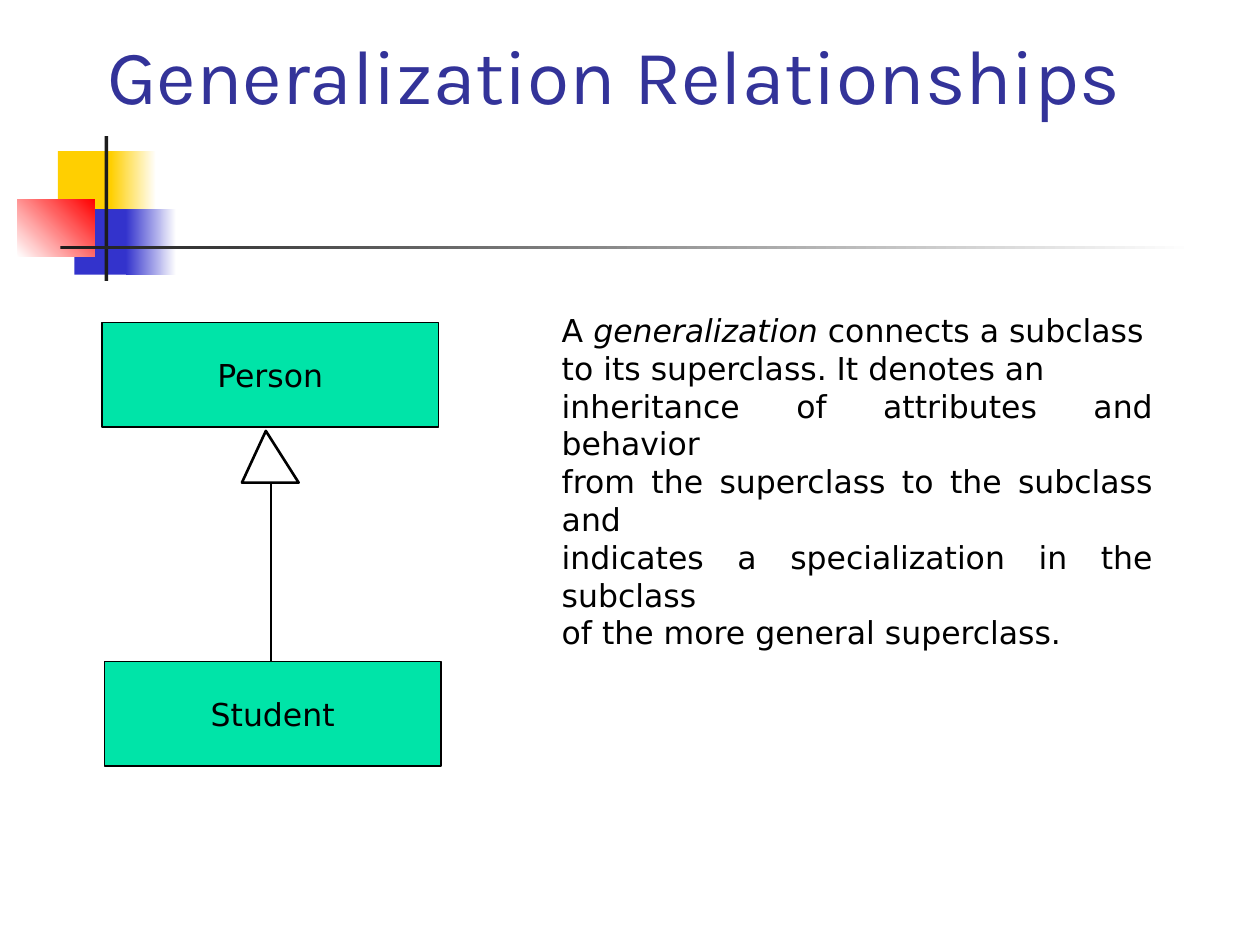
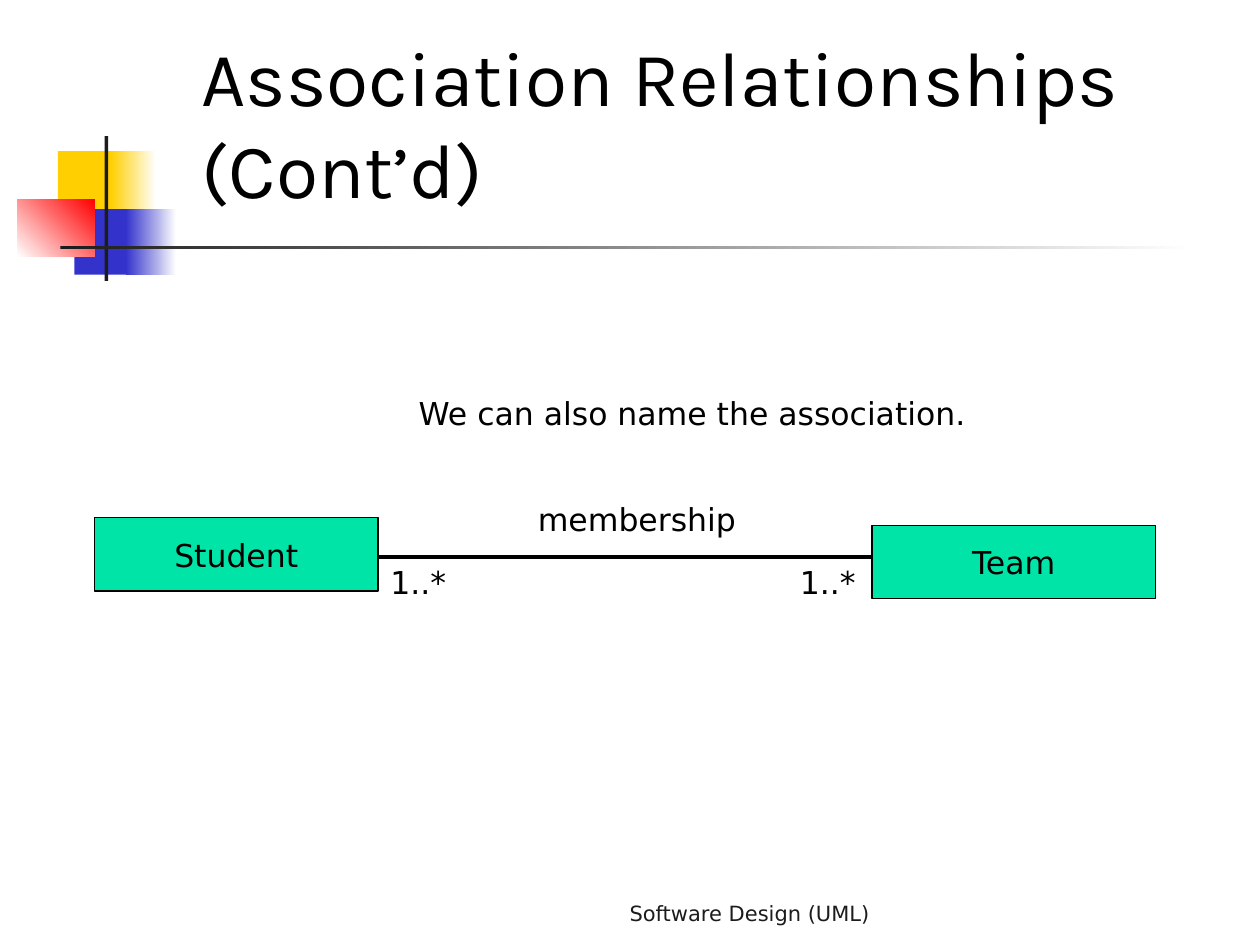
from lxml import etree
from pptx import Presentation
from pptx.dml.color import RGBColor
from pptx.enum.shapes import MSO_CONNECTOR as Conn, MSO_SHAPE as Kind
from pptx.enum.text import MSO_ANCHOR as Anchor, MSO_AUTO_SIZE as Fit, PP_ALIGN as Align
from pptx.oxml.ns import qn
from pptx.util import Inches, Pt

BLACK, WHITE, DARK = "000000", "FFFFFF", "1C1C1C"
GOLD, BLUE, RED = "FFCF01", "3333CC", "FF0000"
NAVY, GREEN = "333399", "00E4A8"


def paint(target, color):
    """Colour a fill or a font; a fill is made solid first."""
    if hasattr(target, "solid"):
        target.solid()
        target = target.fore_color
    else:
        target = target.color
    target.rgb = RGBColor.from_string(color)


def write(shape, lines, size=18, color=BLACK, align=Align.LEFT, font="DejaVu Sans"):
    """Fill a shape with paragraphs, each a list of runs; odd runs are italic."""
    frame = shape.text_frame
    frame.auto_size = Fit.NONE
    frame.word_wrap = True
    for i, line in enumerate(lines):
        para = frame.add_paragraph() if i else frame.paragraphs[0]
        para.alignment = align
        for j, words in enumerate(line):
            run = para.add_run()
            run.text = words
            run.font.name = font
            run.font.size = Pt(size)
            run.font.italic = j % 2 == 1
            paint(run.font, color)


prs = Presentation()
prs.slide_width, prs.slide_height = Inches(10), Inches(7.5)
layout = prs.slide_layouts[5]

# Slides with their titles
titles = [
    ("Generalization Relationships", NAVY, 0.75, 0.42, 8.58),
    ("Association Relationships (Cont’d)", BLACK, 1.5, 1.17, 8.83),
]
slides = []
for words, color, x, y, w in titles:
    slide = prs.slides.add_slide(layout)
    title = slide.shapes.title
    title.left, title.top, title.width, title.height = map(Inches, (x, y, w, 0.58))
    write(title, [[words]], 44, color, font="Karla")
    title.text_frame.vertical_anchor = Anchor.BOTTOM
    slides.append(slide)
general, assoc = slides

# Shared motif, moved to the layout
motif = [
    (0.46, 1.2, 0.48, 0.52, [GOLD], 0),
    (0.88, 1.2, 0.36, 0.52, [GOLD, WHITE], 0),
    (0.59, 1.66, 0.46, 0.52, [BLUE], 0),
    (1, 1.66, 0.4, 0.52, [BLUE, WHITE], 0),
    (0.14, 1.58, 0.61, 0.46, [WHITE, RED], 45),
    (0.83, 1.08, 0.03, 1.15, [DARK], 0),
    (0.48, 1.95, 9, 0.03, [DARK, WHITE], 0),
]
for x, y, w, h, colors, angle in motif:
    block = general.shapes.add_shape(Kind.RECTANGLE, *map(Inches, (x, y, w, h)))
    block.shadow.inherit = False
    block.line.fill.background()
    if len(colors) == 1:
        paint(block.fill, colors[0])
    else:
        block.fill.gradient()
        block.fill.gradient_angle = angle
        for stop, color in zip(block.fill.gradient_stops, colors):
            stop.color.rgb = RGBColor.from_string(color)
    layout.shapes.element.append(block.element)

# Lines: inheritance arrow shaft and association
arrow = general.shapes.add_group_shape()
for shapes, ends, width in [
    (arrow.shapes, (2.15, 3.83, 2.15, 5.25), 1.5),
    (assoc.shapes, (3, 4.42, 7, 4.42), 2.25),
]:
    line = shapes.add_connector(Conn.STRAIGHT, *map(Inches, ends))
    line.line.width = Pt(width)
    paint(line.line.fill, BLACK)
    etree.SubElement(line.element.spPr, qn("a:effectLst"))

# Hollow arrowhead
path = arrow.shapes.build_freeform(Inches(2.11), Inches(3.42))
path.add_line_segments([(Inches(1.92), Inches(3.83)), (Inches(2.37), Inches(3.83))])
head = path.convert_to_shape()
head.shadow.inherit = False
paint(head.fill, WHITE)
paint(head.line.fill, BLACK)
head.line.width = Pt(1.5)

# Class boxes
classes = [
    (general, "Person", 0.81, 2.56, 2.67, 0.83),
    (general, "Student", 0.83, 5.25, 2.67, 0.83),
    (assoc, "Team", 6.92, 4.17, 2.25, 0.58),
    (assoc, "Student", 0.75, 4.11, 2.25, 0.58),
]
for slide, name, *place in classes:
    box = slide.shapes.add_shape(Kind.RECTANGLE, *map(Inches, place))
    box.shadow.inherit = False
    paint(box.fill, GREEN)
    paint(box.line.fill, BLACK)
    box.line.width = Pt(0.75)
    write(box, [[name]], align=Align.CENTER)
    box.text_frame.vertical_anchor = Anchor.MIDDLE

# Explanation and labels
meaning = [
    ["A ", "generalization", " connects a subclass"],
    ["to its superclass. It denotes an "],
    ["inheritance of attributes and behavior"],
    ["from the superclass to the subclass and"],
    ["indicates a specialization in the subclass"],
    ["of the more general superclass."],
]
notes = [
    (general, meaning, Align.JUSTIFY, 4.36, 2.42, 4.89, 1.9),
    (assoc, [["We can also name the association."]], Align.CENTER, 2.33, 3.08, 6.33, 0.4),
    (assoc, [["membership"]], Align.LEFT, 4.17, 3.92, 1.92, 0.4),
    (assoc, [["1..*"]], Align.LEFT, 3, 4.42, 0.83, 0.4),
    (assoc, [["1..*"]], Align.LEFT, 6.25, 4.42, 0.75, 0.4),
]
for slide, lines, align, *place in notes:
    note = slide.shapes.add_textbox(*map(Inches, place))
    write(note, lines, align=align)

# Footer
foot = assoc.shapes.add_textbox(*map(Inches, (2.58, 7, 4.42, 0.5)))
write(foot, [["Software Design (UML)"]], 12, DARK, Align.RIGHT)
foot.text_frame.vertical_anchor = Anchor.MIDDLE

prs.save("out.pptx")
